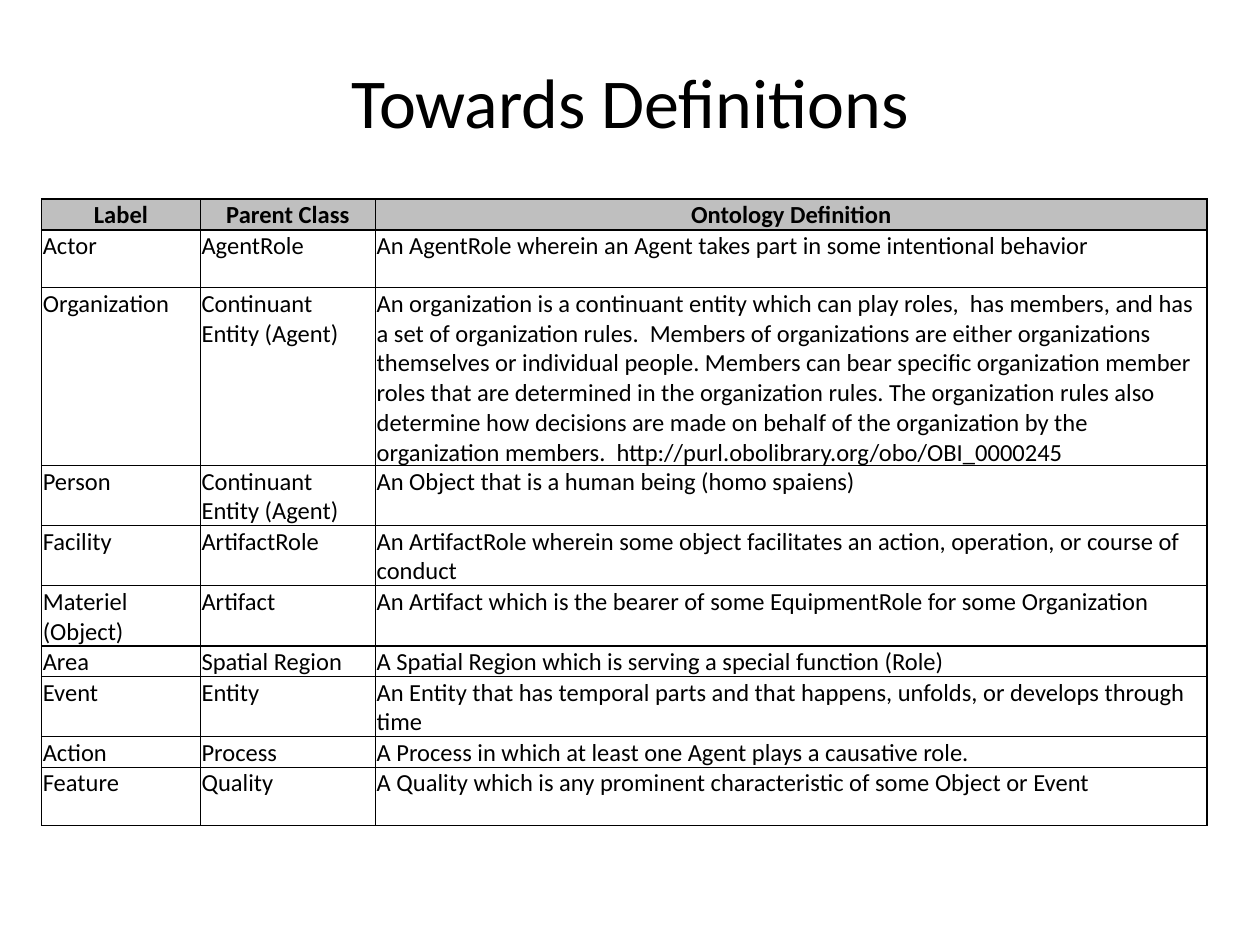
from pptx import Presentation
from pptx.util import Inches, Pt
from pptx.dml.color import RGBColor
from pptx.enum.text import PP_ALIGN, MSO_ANCHOR
from lxml import etree

NS = "http://schemas.openxmlformats.org/drawingml/2006/main"
BORDER = (
    '<a:{side} xmlns:a="{ns}" w="12700"><a:solidFill>'
    '<a:srgbClr val="000000"/></a:solidFill></a:{side}>'
)


def color(code):
    return RGBColor.from_string(code)


def write(frame, text, size, align, bold=False):
    para = frame.paragraphs[0]
    para.alignment = align
    run = para.add_run()
    run.text = text
    looks = {"name": "Calibri", "size": Pt(size), "bold": bold}
    for key, value in looks.items():
        setattr(run.font, key, value)
    run.font.color.rgb = color("000000")


prs = Presentation()
prs.slide_width, prs.slide_height = Inches(10), Inches(7.5)
slide = prs.slides.add_slide(prs.slide_layouts[6])

# Title
title = slide.shapes.add_textbox(Inches(0.5), Inches(0.17), Inches(9), Inches(1.25))
frame = title.text_frame
frame.word_wrap = True
frame.vertical_anchor = MSO_ANCHOR.MIDDLE
write(frame, "Towards Definitions", 40, PP_ALIGN.CENTER)

# Table content: row height, then label, parent class and definition
rows = [
    (0.23, "Label", "Parent Class", "Ontology Definition"),
    (0.46, "Actor", "AgentRole",
     "An AgentRole wherein an Agent takes part in some intentional behavior"),
    (1.39, "Organization", "Continuant Entity (Agent)",
     "An organization is a continuant entity which can play roles,  has members, "
     "and has a set of organization rules.  Members of organizations are either "
     "organizations themselves or individual people. Members can bear specific "
     "organization member roles that are determined in the organization rules. "
     "The organization rules also determine how decisions are made on behalf of "
     "the organization by the organization members.  "
     "http://purl.obolibrary.org/obo/OBI_0000245"),
    (0.23, "Person", "Continuant Entity (Agent)",
     "An Object that is a human being (homo spaiens)"),
    (0.46, "Facility", "ArtifactRole",
     "An ArtifactRole wherein some object facilitates an action, operation, "
     "or course of conduct"),
    (0.38, "Materiel (Object)", "Artifact",
     "An Artifact which is the bearer of some EquipmentRole for some Organization"),
    (0.23, "Area", "Spatial Region",
     "A Spatial Region which is serving a special function (Role)"),
    (0.46, "Event", "Entity",
     "An Entity that has temporal parts and that happens, unfolds, "
     "or develops through time"),
    (0.23, "Action", "Process",
     "A Process in which at least one Agent plays a causative role."),
    (0.46, "Feature", "Quality",
     "A Quality which is any prominent characteristic of some Object or Event"),
]
widths = [1.26, 1.39, 6.6]

# Table
table = slide.shapes.add_table(
    len(rows), len(widths), Inches(0.33), Inches(1.58),
    Inches(sum(widths)), Inches(sum(row[0] for row in rows)),
).table
table.horz_banding = False
for col, width in zip(table.columns, widths):
    col.width = Inches(width)

margins = {"margin_left": 0.01, "margin_top": 0.01,
           "margin_right": 0.01, "margin_bottom": 0}
for r, (height, *texts) in enumerate(rows):
    table.rows[r].height = Inches(height)
    head = r == 0
    for c, text in enumerate(texts):
        cell = table.cell(r, c)
        for key, value in margins.items():
            setattr(cell, key, Inches(value))
        align = PP_ALIGN.CENTER if head else PP_ALIGN.LEFT
        write(cell.text_frame, text, 14, align, head)
        # Borders come before the fill in the cell properties
        props = cell._tc.get_or_add_tcPr()
        for side in ("lnL", "lnR", "lnT", "lnB"):
            props.append(etree.fromstring(BORDER.format(side=side, ns=NS)))
        if head:
            cell.fill.solid()
            cell.fill.fore_color.rgb = color("BFBFBF")
        else:
            cell.fill.background()

prs.save("out.pptx")
